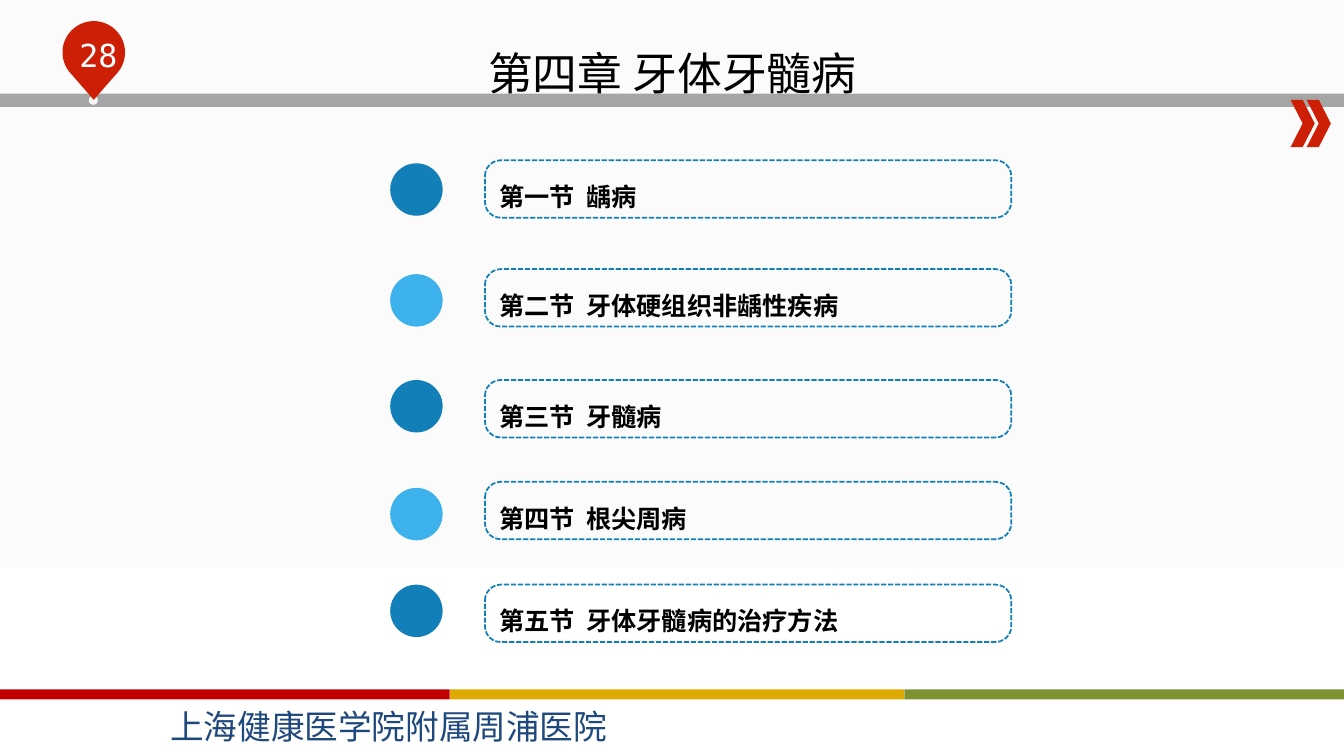
import math
from lxml import etree
from pptx import Presentation, util as u
from pptx.dml.color import RGBColor
from pptx.enum import dml, shapes, text
from pptx.oxml import ns

RED = RGBColor(0xCD, 0x1F, 0x06)
GREY = RGBColor(0xA5, 0xA5, 0xA5)
PALE = RGBColor(0xF6, 0xF6, 0xF6)
NEAR = RGBColor(0xFB, 0xFB, 0xFB)
WHITE = RGBColor(0xFF, 0xFF, 0xFF)
BLACK = RGBColor(0, 0, 0)
NAVY = RGBColor(0x1F, 0x49, 0x7D)
BLUE = RGBColor(0x12, 0x7F, 0xB8)
SKY = RGBColor(0x3C, 0xB1, 0xEC)
BARS = [RGBColor(0xC0, 0, 0), RGBColor(0xDE, 0xA9, 0), RGBColor(0x7C, 0x91, 0x2F)]
HAN = "Noto Sans CJK SC"
KIND = shapes.MSO_SHAPE

prs = Presentation()
prs.slide_width, prs.slide_height = u.Inches(13.33), u.Inches(7.5)
slide = prs.slides.add_slide(prs.slide_layouts[5])
tree = slide.shapes


def draw(kind, x, y, w, h, fill=None):
    item = tree.add_shape(kind, *map(u.Inches, (x, y, w, h)))
    item.shadow.inherit = False
    item.line.fill.background()
    if fill is None:
        item.fill.background()
    else:
        item.fill.solid()
        item.fill.fore_color.rgb = fill
    return item


def write(frame, words, size, face, color, align=text.PP_ALIGN.LEFT):
    para = frame.paragraphs[0]
    para.text = words
    para.alignment = align
    for run in para.runs:
        run.font.size = u.Pt(size)
        run.font.name = face
        run.font.color.rgb = color
        east = etree.SubElement(run.font._element, ns.qn("a:ea"))
        east.set("typeface", HAN)
    return para


# Background
back = slide.background.fill
back.gradient()
back.gradient_angle = 270
for stop, place, color in zip(back.gradient_stops, (0.5, 1), (NEAR, WHITE)):
    stop.position = place
    stop.color.rgb = color

# Header band and chevrons
draw(KIND.RECTANGLE, 0, 0.93, 13.33, 0.13, GREY)
for x in (12.8, 12.96):
    draw(KIND.CHEVRON, x, 0.99, 0.24, 0.47, RED)

# Page pin: a round head closing to a tip
draw(KIND.OVAL, 0.88, 0.95, 0.09, 0.09, PALE)
arc = [math.radians(a) for a in range(135, 406, 5)]
rim = [(u.Inches(0.93 + 0.31 * math.cos(a)), u.Inches(0.52 + 0.31 * math.sin(a)))
       for a in arc]
path = tree.build_freeform(*rim[0])
path.add_line_segments(rim[1:] + [(u.Inches(0.93), u.Inches(0.99))], close=True)
pin = path.convert_to_shape()
pin.shadow.inherit = False
pin.fill.solid()
pin.fill.fore_color.rgb = RED
pin.line.fill.background()
page = tree.add_textbox(*map(u.Inches, (0.54, 0.31, 0.87, 0.41))).text_frame
page.word_wrap = True
write(page, "28", 22.6, "DejaVu Sans Mono", WHITE, text.PP_ALIGN.CENTER)

# Footer
for i, color in enumerate(BARS):
    draw(KIND.RECTANGLE, -0.04 + 4.505 * i, 6.84, 4.5, 0.1, color)
foot = tree.add_textbox(*map(u.Inches, (1.59, 6.95, 4.53, 0.5))).text_frame
foot.word_wrap = False
write(foot, "上海健康医学院附属周浦医院", 24, HAN, NAVY)

# Title
title = tree.title
title.left, title.top, title.width, title.height = map(u.Inches, (0.92, 0.4, 11.5, 1.45))
title.text_frame.vertical_anchor = text.MSO_ANCHOR.TOP
write(title.text_frame, "第四章 牙体牙髓病", 32, HAN, BLACK, text.PP_ALIGN.CENTER)

# Sections: dot top, box top, number, name
parts = [
    (1.62, 1.59, "第一节", "龋病"),
    (2.72, 2.67, "第二节", "牙体硬组织非龋性疾病"),
    (3.77, 3.77, "第三节", "牙髓病"),
    (4.84, 4.78, "第四节", "根尖周病"),
    (5.8, 5.8, "第五节", "牙体牙髓病的治疗方法"),
]
for i, (dot, top, num, name) in enumerate(parts):
    draw(KIND.OVAL, 3.87, dot, 0.52, 0.52, (BLUE, SKY)[i % 2])
    box = draw(KIND.ROUNDED_RECTANGLE, 4.81, top, 5.22, 0.57)
    box.adjustments[0] = 0.275
    box.line.color.rgb = BLUE
    box.line.width = u.Pt(1.25)
    box.line.dash_style = dml.MSO_LINE.SQUARE_DOT
    frame = box.text_frame
    frame.vertical_anchor = text.MSO_ANCHOR.MIDDLE
    para = write(frame, f"{num}\t{name}", 18, "Times New Roman", BLACK)
    para.line_spacing = 1.5
    tabs = etree.SubElement(para._p.get_or_add_pPr(), ns.qn("a:tabLst"))
    etree.SubElement(tabs, ns.qn("a:tab"), pos=str(u.Inches(0.86)), algn="l")
    for run in para.runs:
        run.font.bold = True

prs.save("out.pptx")
